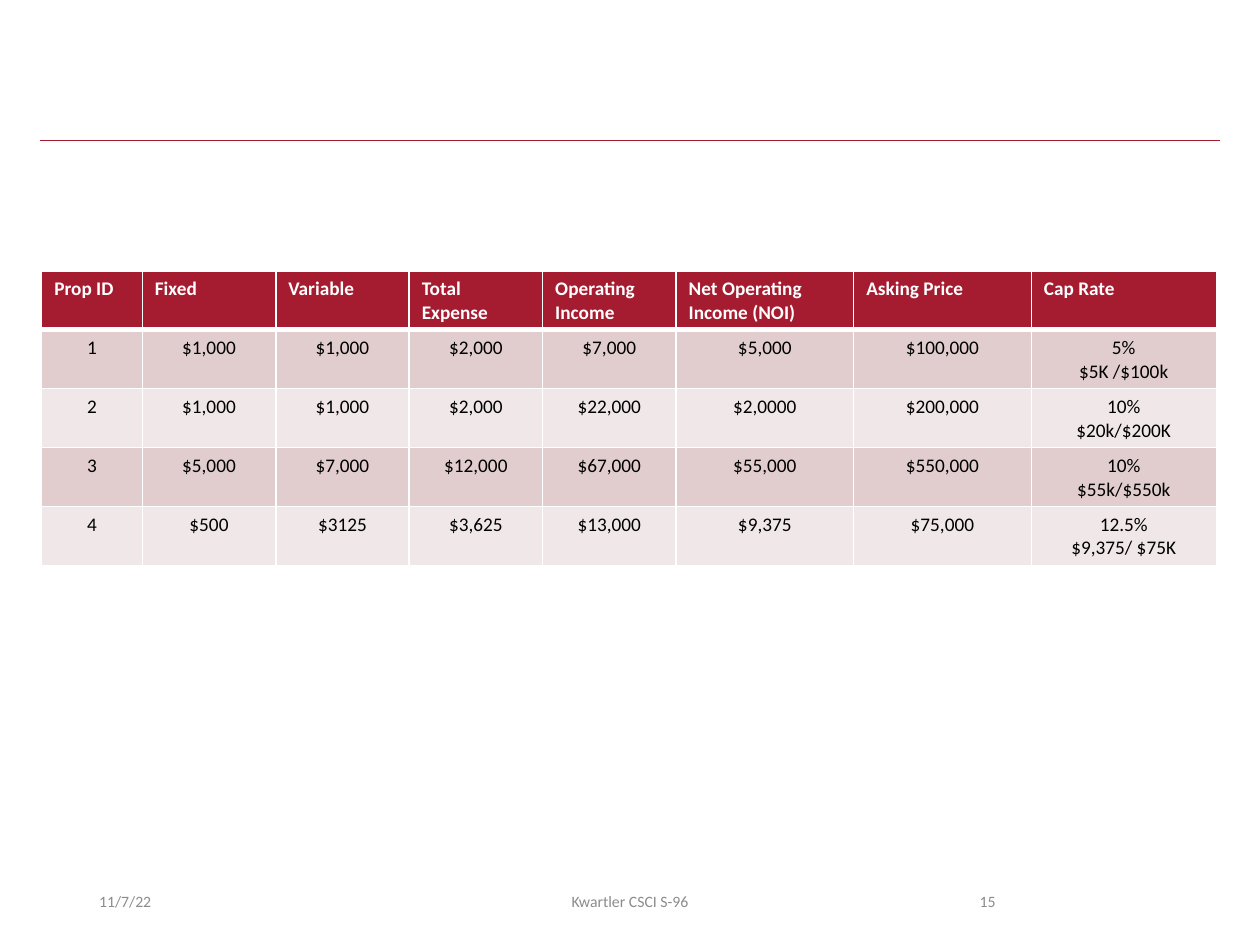
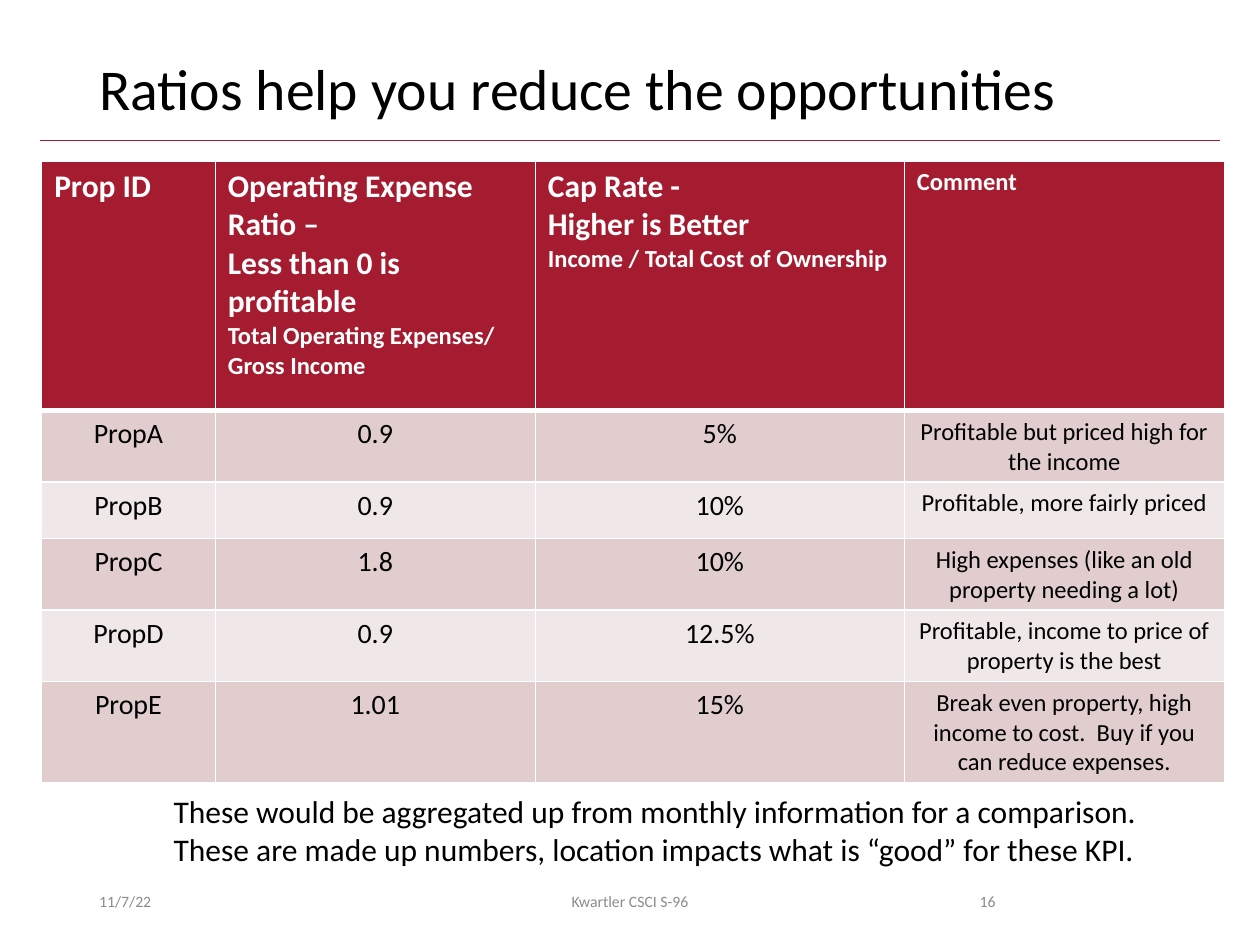
from collections import namedtuple
from dataclasses import dataclass

from lxml.etree import SubElement
from pptx import Presentation
from pptx.dml.color import RGBColor
from pptx.enum.shapes import MSO_CONNECTOR
from pptx.enum.text import MSO_ANCHOR, PP_ALIGN
from pptx.oxml.ns import qn
from pptx.util import Cm, Pt

Note = namedtuple("Note", "text")  # a table line set in the small size

DATE = "11/7/22"
COURSE = "Kwartler CSCI S-96"

CAP_RATES = {
    "page": "15",
    "at": (0.84, 5.46),
    "sizes": {"head": 11, "body": 11},
    "columns": [2.03, 2.69, 2.69, 2.69, 2.69, 3.58, 3.58, 3.73],
    "heights": [1.04] * 5,
    "rows": [
        ["Prop ID", "Fixed", "Variable", "Total Expense", "Operating Income",
         "Net Operating Income (NOI)", "Asking Price", "Cap Rate"],
        ["1", "$1,000", "$1,000", "$2,000", "$7,000", "$5,000", "$100,000",
         ("5%", "$5K /$100k")],
        ["2", "$1,000", "$1,000", "$2,000", "$22,000", "$2,0000", "$200,000",
         ("10%", "$20k/$200K")],
        ["3", "$5,000", "$7,000", "$12,000", "$67,000", "$55,000", "$550,000",
         ("10%", "$55k/$550k")],
        ["4", "$500", "$3125", "$3,625", "$13,000", "$9,375", "$75,000",
         ("12.5%", "$9,375/ $75K")],
    ],
}

RATIOS = {
    "page": "16",
    "title": "Ratios help you reduce the opportunities",
    "caption": [
        "These would be aggregated up from monthly information for a comparison.",
        "These are made up numbers, location impacts what is “good” for these KPI.",
    ],
    "at": (0.84, 3.25),
    "sizes": {"head": 18, "body": 16},
    "columns": [3.5, 6.45, 7.44, 6.45],
    "heights": [5.03] + [1.14] * 4 + [1.98],
    "rows": [
        ["Prop ID",
         ("Operating Expense Ratio –", "Less than 0 is profitable",
          Note("Total Operating Expenses/ Gross Income")),
         ("Cap Rate -", "Higher is Better",
          Note("Income / Total Cost of Ownership")),
         Note("Comment")],
        ["PropA", "0.9", "5%", Note("Profitable but priced high for the income")],
        ["PropB", "0.9", "10%", Note("Profitable, more fairly priced")],
        ["PropC", "1.8", "10%",
         Note("High expenses (like an old property needing a lot)")],
        ["PropD", "0.9", "12.5%",
         Note("Profitable, income to price of property is the best")],
        ["PropE", "1.01", "15%",
         Note("Break even property, high income to cost.  "
              "Buy if you can reduce expenses.")],
    ],
}


@dataclass(frozen=True)
class Theme:
    font: str = "Calibri"
    crimson: str = "A51C30"
    bands: tuple = ("E1CDCD", "F0E8E8")
    white: str = "FFFFFF"
    ink: str = "000000"
    grey: str = "8C8C8C"
    title_size: int = 33
    caption_size: int = 18
    note_size: int = 14
    footer_size: int = 9
    grid_width: int = 1
    head_rule_width: int = 3


THEME = Theme()


def write(frame, lines, size, color, bold=False, **paragraph_format):
    for index, line in enumerate(lines):
        small = isinstance(line, Note)
        paragraph = frame.add_paragraph() if index else frame.paragraphs[0]
        for key, value in paragraph_format.items():
            setattr(paragraph, key, value)
        run = paragraph.add_run()
        run.text = line.text if small else line
        font = {"name": THEME.font, "bold": bold,
                "size": Pt(THEME.note_size if small else size)}
        for key, value in font.items():
            setattr(run.font, key, value)
        run.font.color.rgb = RGBColor.from_string(color)


def add_text(slide, box, lines, size, color, anchor=MSO_ANCHOR.MIDDLE, **paragraph_format):
    frame = slide.shapes.add_textbox(*map(Cm, box)).text_frame
    frame.word_wrap = True
    frame.vertical_anchor = anchor
    write(frame, lines, size, color, **paragraph_format)


def add_borders(cell, widths):
    properties = cell._tc.get_or_add_tcPr()
    for side, width in widths.items():
        border = SubElement(properties, qn(f"a:ln{side}"), w=str(Pt(width)))
        fill = SubElement(border, qn("a:solidFill"))
        SubElement(fill, qn("a:srgbClr"), val=THEME.white)


def fill_cell(cell, content, row, sizes):
    head = row == 0
    widths = dict.fromkeys("LRTB", THEME.grid_width)
    if row < 2:
        widths["B" if head else "T"] = THEME.head_rule_width
    add_borders(cell, widths)
    cell.fill.solid()
    cell.fill.fore_color.rgb = RGBColor.from_string(
        THEME.crimson if head else THEME.bands[(row - 1) % 2])
    lines = content if type(content) is tuple else [content]
    if head:
        write(cell.text_frame, lines, sizes["head"], THEME.white, bold=True)
    else:
        write(cell.text_frame, lines, sizes["body"], THEME.ink,
              alignment=PP_ALIGN.CENTER)


def add_property_table(slide, content):
    columns, heights = content["columns"], content["heights"]
    table = slide.shapes.add_table(
        len(heights), len(columns), *map(Cm, content["at"]),
        Cm(sum(columns)), Cm(sum(heights))).table
    for column, width in zip(table.columns, columns):
        column.width = Cm(width)
    for row, height in zip(table.rows, heights):
        row.height = Cm(height)
    for row, values in enumerate(content["rows"]):
        for column, value in enumerate(values):
            fill_cell(table.cell(row, column), value, row, content["sizes"])


def add_frame(slide, page):
    """Add the rule under the title area and the three footer fields."""
    rule = slide.shapes.add_connector(
        MSO_CONNECTOR.STRAIGHT, Cm(0.81), Cm(2.84), Cm(24.59), Cm(2.84))
    rule.line.color.rgb = RGBColor.from_string(THEME.crimson)
    rule.line.width = Pt(0.5)
    SubElement(rule._element.spPr, qn("a:effectLst"))
    footers = [
        (DATE, 1.75, 5.72, PP_ALIGN.LEFT),
        (page, 17.93, 2.39, PP_ALIGN.RIGHT),
        (COURSE, 8.41, 8.58, PP_ALIGN.CENTER),
    ]
    for text, left, width, alignment in footers:
        add_text(slide, (left, 17.65, width, 1.02), [text],
                 THEME.footer_size, THEME.grey, alignment=alignment)


def build_slide(deck, content):
    slide = deck.slides.add_slide(deck.slide_layouts[6])
    add_frame(slide, content["page"])
    if "title" in content:
        add_text(slide, (1.75, 1.02, 21.9, 1.65), [content["title"]],
                 THEME.title_size, THEME.ink, line_spacing=0.9)
    add_property_table(slide, content)
    if "caption" in content:
        add_text(slide, (3.25, 15.85, 20.4, 1.8), content["caption"],
                 THEME.caption_size, THEME.ink, anchor=MSO_ANCHOR.TOP)


def main():
    deck = Presentation()
    deck.slide_width, deck.slide_height = Cm(25.4), Cm(19.05)
    for content in (CAP_RATES, RATIOS):
        build_slide(deck, content)
    deck.save("out.pptx")


if __name__ == "__main__":
    main()
